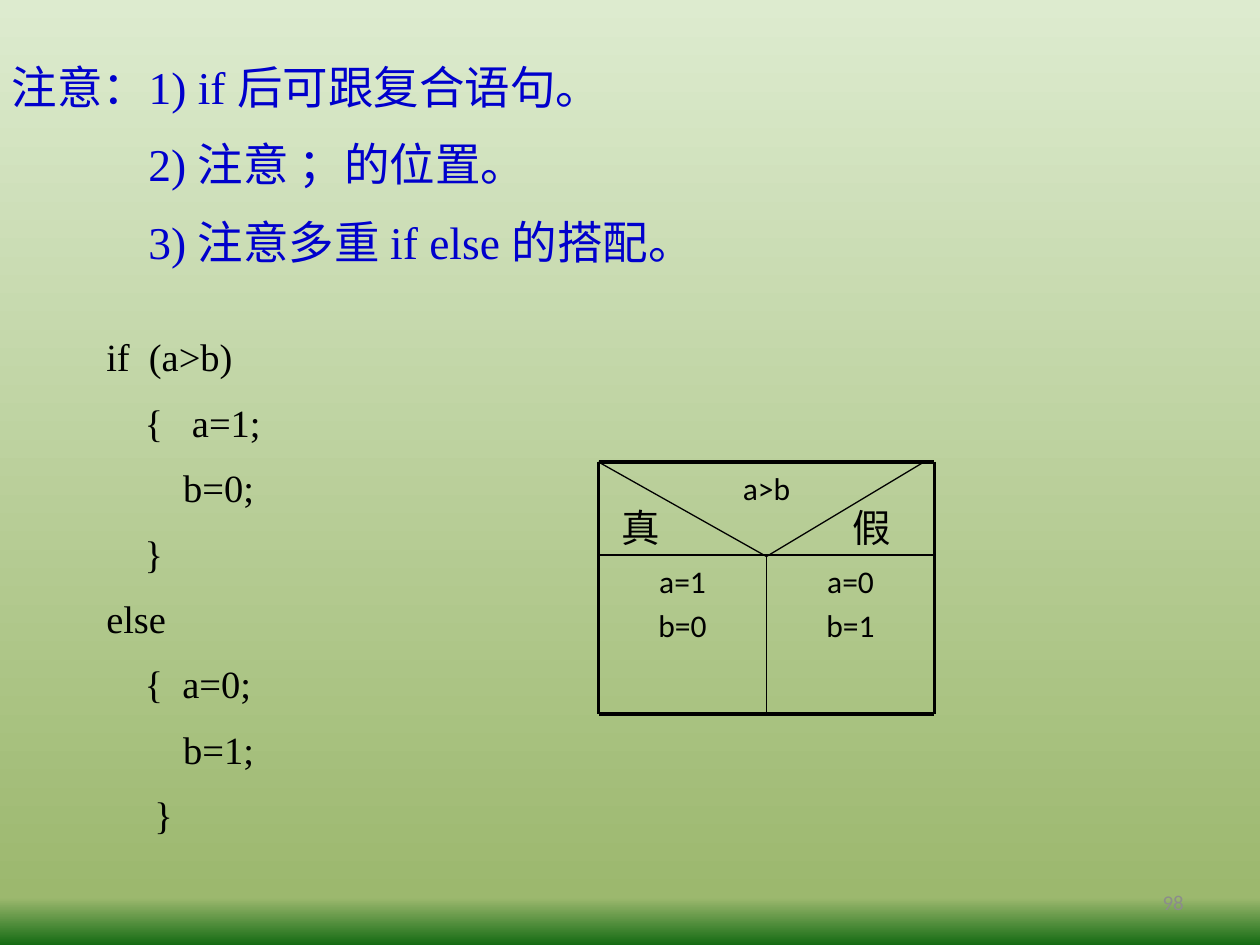
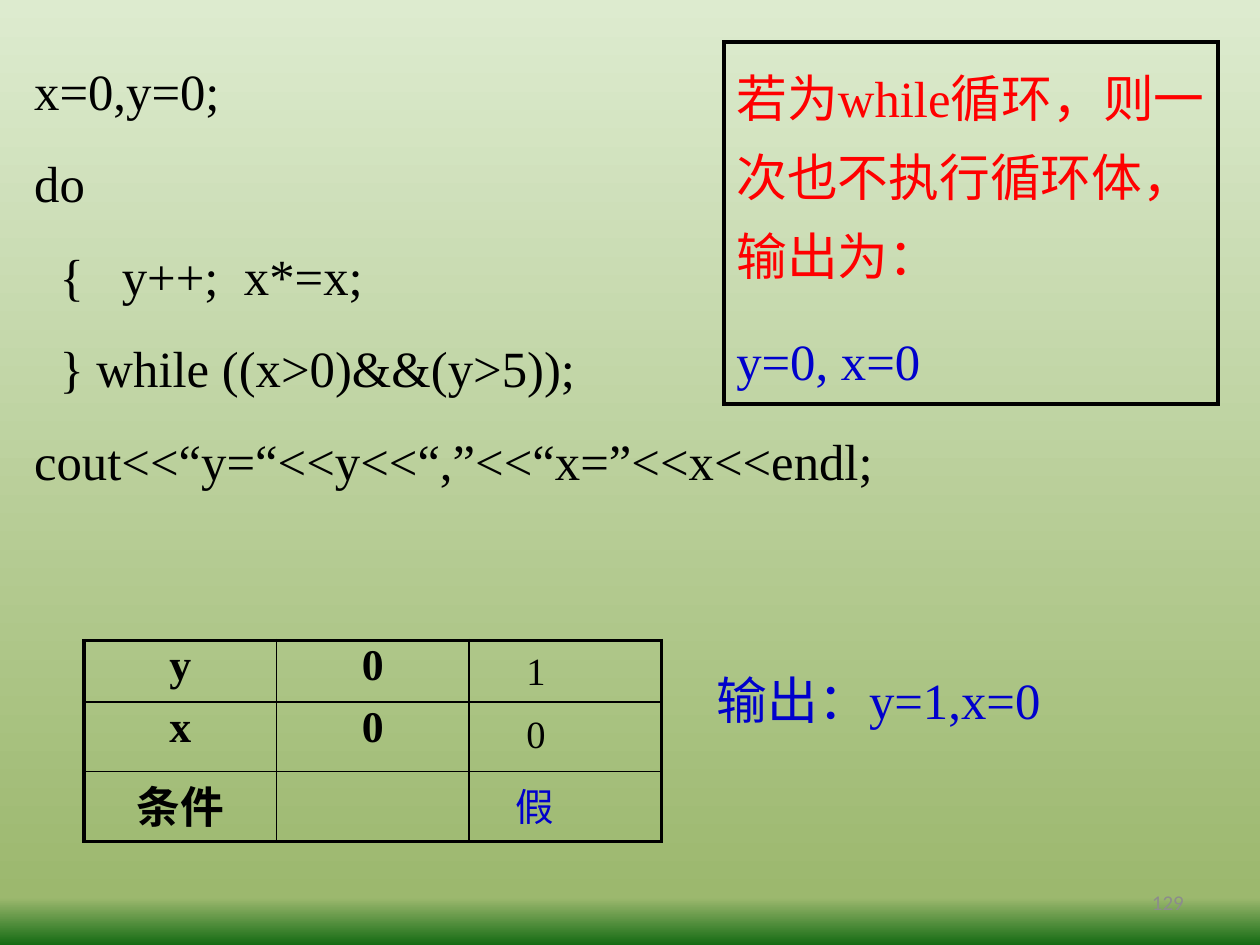
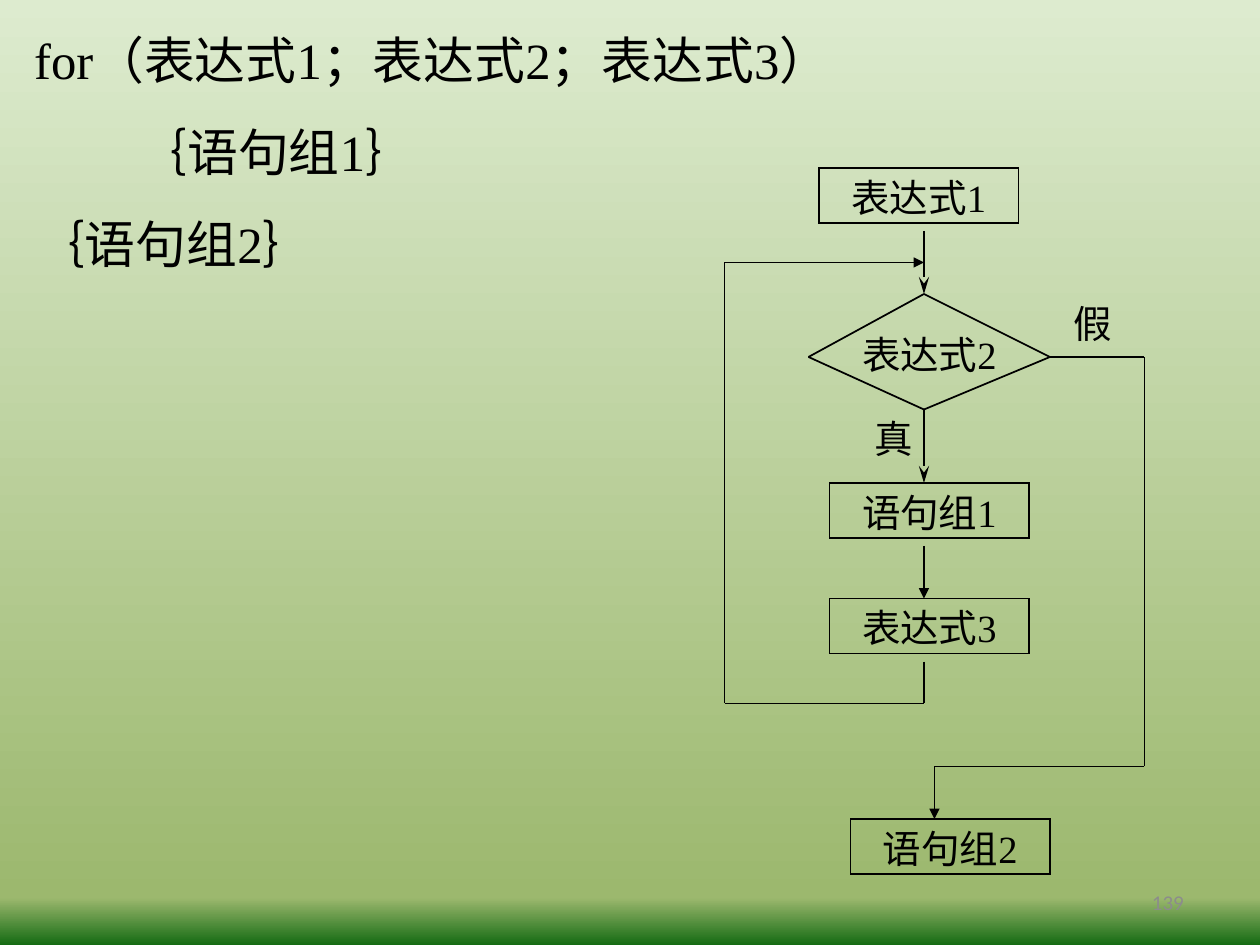
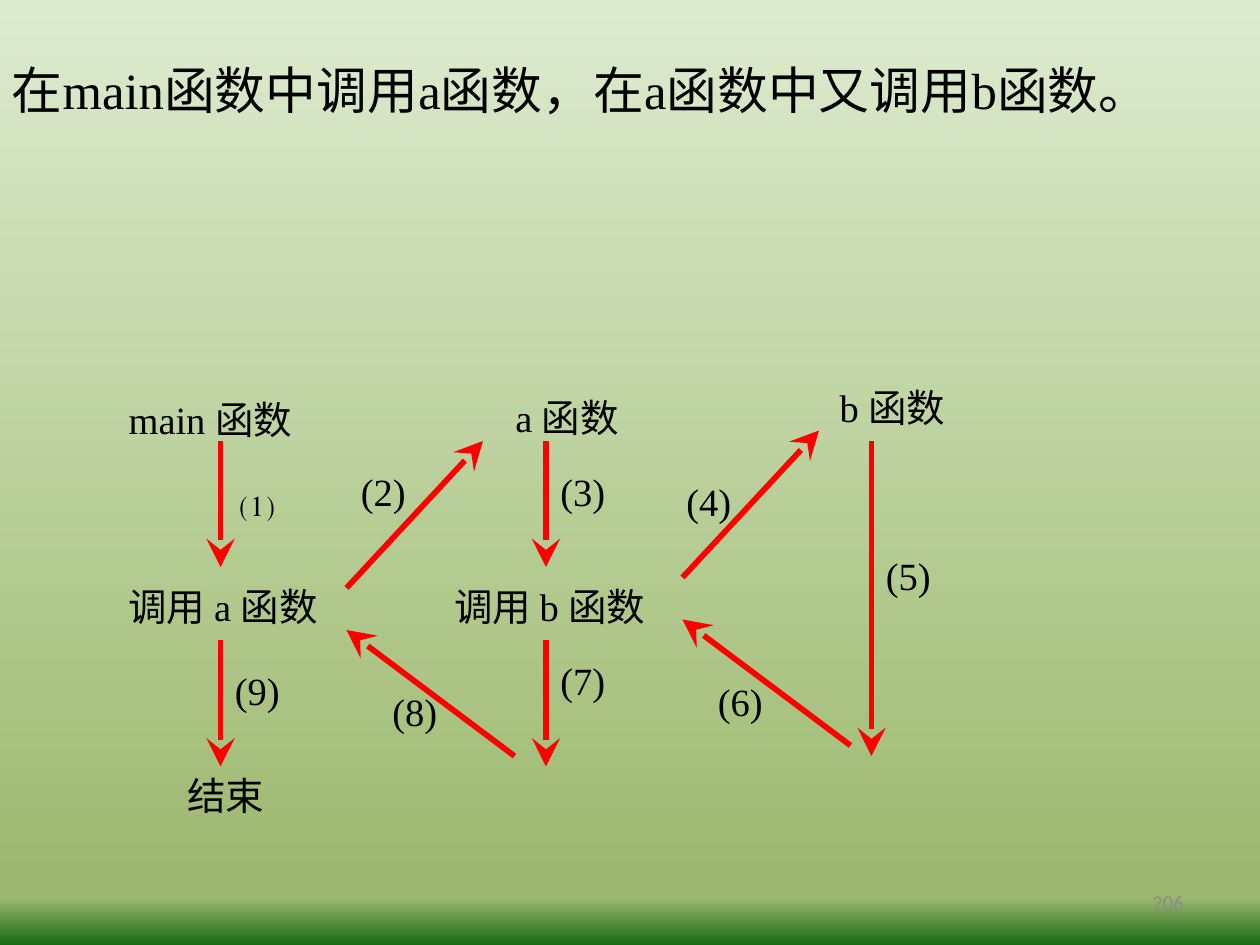
from copy import deepcopy

from lxml.etree import SubElement
from pptx import Presentation
from pptx.dml.color import RGBColor
from pptx.enum.shapes import MSO_CONNECTOR, MSO_SHAPE, PP_PLACEHOLDER
from pptx.enum.text import MSO_ANCHOR, MSO_AUTO_SIZE, PP_ALIGN
from pptx.oxml.ns import qn
from pptx.util import Pt

PX = 9525


class Theme:
    ink = RGBColor.from_string("000000")
    blue = RGBColor.from_string("0000CC")
    red = RGBColor.from_string("FF0000")
    gray = RGBColor.from_string("8C8C8C")
    sky = [(0, "DDEBCF"), (0.95, "9CB86E"), (1, "156B13")]
    serif, sans = "Times New Roman", "Calibri"
    big, list, head, text, small, foot = 29, 26, 25, 22, 18, 12
    thick, thin, hair, bold = 2.25, 1, 0.75, 3.25


LOOSE = {"pad": (9, 5)}
MID = {"align": PP_ALIGN.CENTER}
CODE = {"size": Theme.big, "lead": 1.1}
NOTE = {"lead": 1.1}
PLAIN = {"size": Theme.small, "font": Theme.sans, "gap": 0.2,
         "fit": MSO_AUTO_SIZE.NONE, **LOOSE, **MID}
FOOT = {"size": Theme.foot, "font": Theme.sans, "color": Theme.gray,
        "align": PP_ALIGN.RIGHT, "anchor": MSO_ANCHOR.MIDDLE,
        "fit": MSO_AUTO_SIZE.NONE, "pad": (10, 5)}


def write(item, spot, lines, size=Theme.text, font=Theme.serif, color=Theme.ink,
          align=PP_ALIGN.LEFT, lead=None, gap=0.5, pad=(2, 1), bold=False,
          anchor=MSO_ANCHOR.TOP, fit=MSO_AUTO_SIZE.SHAPE_TO_FIT_TEXT,
          edge=None, dents=()):
    frame = item.text_frame
    host = item
    if spot:
        host = frame
        for name, value in zip(("left", "top", "width", "height"), spot):
            setattr(item, name, value * PX)
        frame.word_wrap, frame.auto_size = True, fit
    if edge:
        item.shadow.inherit = False
        item.fill.background()
        item.line.color.rgb = Theme.ink
        item.line.width = Pt(edge)
        SubElement(item.element.spPr.find(qn("a:ln")), qn("a:miter"), lim="800000")
    form = {"margin_left": pad[0] * PX, "margin_right": pad[0] * PX,
            "margin_top": pad[1] * PX, "margin_bottom": pad[1] * PX,
            "vertical_anchor": anchor}
    for name, value in form.items():
        setattr(host, name, value)
    frame.text = "\n".join(lines)
    for row, par in enumerate(frame.paragraphs):
        props = par._p.get_or_add_pPr()
        props.set("marL", str(dents[row] * PX if dents else 0))
        props.set("indent", "0")
        SubElement(props, qn("a:buNone"))
        form = {"alignment": align, "line_spacing": lead,
                "space_before": Pt(size * gap if row else 0)}
        for name, value in form.items():
            setattr(par, name, value)
        for run in par.runs:
            for name, value in {"name": font, "size": Pt(size), "bold": bold}.items():
                setattr(run.font, name, value)
            run.font.color.rgb = color
    return item


def draw(shapes, start, end, width=Theme.thin, color=Theme.ink, tail=None):
    line = shapes.add_connector(MSO_CONNECTOR.STRAIGHT, *[n * PX for n in start + end])
    line.line.width = Pt(width)
    line.line.color.rgb = color
    props = line.element.spPr
    if tail:
        SubElement(props.find(qn("a:ln")), qn("a:tailEnd"),
                   type=tail[0], w=tail[1], len=tail[2])
    SubElement(props, qn("a:effectLst"))
    return line


deck = Presentation()
deck.slide_width, deck.slide_height = 960 * PX, 720 * PX

fill = deck.slide_master.background.fill
fill.gradient()
fill.gradient_angle = 270
stops = deck.slide_master.element.find(".//" + qn("a:gsLst"))
stops.append(deepcopy(stops[-1]))
for stop, (place, shade) in zip(fill.gradient_stops, Theme.sky):
    stop.position = place
    stop.color.rgb = RGBColor.from_string(shade)

pages = []
for number, plan in (("98", 1), ("129", 1), ("139", 1), ("206", 5)):
    layout = deck.slide_layouts[plan]
    page = deck.slides.add_slide(layout)
    if plan == 1:
        title = page.shapes.title.element
        title.getparent().remove(title)
    for holder in layout.placeholders:
        if holder.placeholder_format.type == PP_PLACEHOLDER.SLIDE_NUMBER:
            page.shapes.element.append(deepcopy(holder.element))
    write(page.shapes[-1], (688, 668, 224, 38), [number], **FOOT)
    pages.append(page)
rules, loop, flow, calls = pages

shapes = rules.shapes
write(rules.placeholders[1], (0, 40, 640, 176),
      ["注意：1) if 后可跟复合语句。", "2) 注意 ；的位置。",
       "3) 注意多重 if else 的搭配。"],
      size=Theme.list, color=Theme.blue, dents=(0, 104, 104), **LOOSE)
write(shapes.add_textbox(0, 0, 0, 0), (72, 249, 224, 414),
      ["if  (a>b)", "    {   a=1;", "        b=0;", "    }",
       "else", "    {  a=0;", "        b=1;", "     }"], **LOOSE)

parts = []
for spot, lines in (((584, 423, 128, 70), ["a=0", "b=1"]),
                    ((456, 423, 128, 105), ["a=1", "b=0"]),
                    ((456, 352, 256, 71), ["a>b"])):
    parts.append(write(shapes.add_textbox(0, 0, 0, 0), spot, lines, **PLAIN))
for start, end, width in (((456, 352), (712, 352), Theme.thick),
                          ((456, 423), (712, 423), Theme.thin),
                          ((456, 544), (712, 544), Theme.thick),
                          ((456, 352), (456, 544), Theme.thick),
                          ((712, 352), (712, 544), Theme.thick),
                          ((584, 423), (584, 544), Theme.thin),
                          ((456, 352), (584, 424), Theme.hair),
                          ((584, 424), (704, 352), Theme.hair)):
    parts.append(draw(shapes, start, end, width))
for left, word in ((464, "真"), (640, "假")):
    parts.append(write(shapes.add_textbox(0, 0, 0, 0), (left, 384, 48, 36),
                       [word], pad=(0, 0), **MID))
shapes.add_group_shape(parts)

shapes = loop.shapes
write(loop.placeholders[1], (24, 40, 856, 353),
      ["x=0,y=0;", "do", "  {   y++;  x*=x;", "  } while ((x>0)&&(y>5));",
       "cout<<“y=“<<y<<“,”<<“x=”<<x<<endl;"], **CODE)

cells = [["y", "0", ""], ["x", "0", ""], ["条件", "", ""]]
grid = shapes.add_table(3, 3, 64 * PX, 488 * PX, 440 * PX, 153 * PX).table
grid.first_row = grid.horz_banding = False
for row, height in enumerate((47, 53, 53)):
    grid.rows[row].height = height * PX
    for col in range(3):
        cell = grid.cell(row, col)
        write(cell, None, [cells[row][col]], size=Theme.head, bold=True, **MID)
        props = cell._tc.get_or_add_tcPr()
        for side, outer in (("L", col == 0), ("R", col == 2),
                            ("T", row == 0), ("B", row == 2)):
            width = Pt(Theme.thick if outer else Theme.thin)
            edge = SubElement(props, qn("a:ln" + side), w=str(width))
            paint = SubElement(edge, qn("a:solidFill"))
            SubElement(paint, qn("a:srgbClr"), val=str(Theme.ink))
        cell.fill.background()

write(shapes.add_textbox(0, 0, 0, 0), (544, 504, 351, 54), ["输出：y=1,x=0"],
      color=Theme.blue, **CODE)
for left, top, word, color in ((392, 488, "1", Theme.ink), (392, 536, "0", Theme.ink),
                               (384, 592, "假", Theme.blue)):
    write(shapes.add_textbox(0, 0, 0, 0), (left, top, 56, 44), [word],
          color=color, **LOOSE)
box = write(shapes.add_shape(MSO_SHAPE.RECTANGLE, 0, 0, 0, 0), (552, 32, 376, 276),
            ["若为while循环，则一次也不执行循环体，输出为：", "y=0, x=0"],
            size=Theme.big, color=Theme.red, lead=1.3, edge=Theme.thick, **LOOSE)
box.text_frame.paragraphs[1].runs[0].font.color.rgb = Theme.blue

shapes = flow.shapes
write(flow.placeholders[1], (24, 16, 751, 204),
      ["for（表达式1；表达式2；表达式3）", "｛语句组1｝", "｛语句组2｝"],
      dents=(0, 78, 0), **CODE)

parts = []
for spot, word, align in (((816, 224, 80, 41), "假", PP_ALIGN.LEFT),
                          ((648, 248, 120, 41), "表达式2", PP_ALIGN.CENTER),
                          ((664, 312, 48, 41), "真", PP_ALIGN.LEFT)):
    parts.append(write(shapes.add_textbox(0, 0, 0, 0), spot, [word],
                       align=align, **NOTE))
for left, top, word in ((624, 128, "表达式1"), (632, 368, "语句组1"),
                        (632, 456, "表达式3"), (648, 624, "语句组2")):
    parts.append(write(shapes.add_shape(MSO_SHAPE.RECTANGLE, 0, 0, 0, 0),
                       (left, top, 152, 42), [word], edge=Theme.thin, **NOTE, **MID))
barb, wedge = ("stealth", "med", "lg"), ("triangle", "med", "med")
routes = [
    ([(704, 224), (616, 272), (704, 312), (800, 272), (704, 224)], None),
    ([(704, 176), (704, 224)], barb),
    ([(704, 312), (704, 368)], barb),
    ([(704, 416), (704, 456)], wedge),
    ([(800, 272), (872, 272), (872, 584), (712, 584), (712, 624)], wedge),
    ([(704, 504), (704, 536), (552, 536), (552, 200), (704, 200)], wedge),
]
for points, tail in routes:
    last = len(points) - 2
    for step, (start, end) in enumerate(zip(points, points[1:])):
        parts.append(draw(shapes, start, end, tail=tail if step == last else None))
shapes.add_group_shape(parts)

shapes = calls.shapes
write(shapes.title, (0, 40, 960, 56),
      ["在main函数中调用a函数，在a函数中又调用b函数。"], size=Theme.big, **LOOSE)
for left, top, width, word, align in (
        (344, 440, 184, "调用 b 函数", PP_ALIGN.LEFT),
        (344, 296, 176, "a 函数", PP_ALIGN.CENTER),
        (592, 288, 176, "b 函数", PP_ALIGN.CENTER),
        (96, 297, 176, "main 函数", PP_ALIGN.LEFT),
        (96, 440, 184, "调用 a 函数", PP_ALIGN.LEFT),
        (72, 584, 200, "结束", PP_ALIGN.CENTER)):
    write(shapes.add_textbox(0, 0, 0, 0), (left, top, width, 41), [word],
          align=align, **NOTE)
for mark, start, end, spot in (
        ("⑴", (168, 336), (168, 432), (176, 360)),
        ("(2)", (264, 448), (368, 336), (272, 352)),
        ("(3)", (416, 336), (416, 432), (424, 352)),
        ("(4)", (520, 440), (624, 328), (520, 360)),
        ("(5)", (664, 336), (664, 576), (672, 416)),
        ("(6)", (648, 568), (520, 472), (544, 512)),
        ("(7)", (416, 488), (416, 584), (424, 496)),
        ("(8)", (392, 576), (264, 480), (296, 520)),
        ("(9)", (168, 488), (168, 584), (176, 504))):
    arrow = draw(shapes, start, end, Theme.bold, Theme.red, ("stealth", "lg", "lg"))
    label = write(shapes.add_textbox(0, 0, 0, 0), spot + (40, 41), [mark],
                  **NOTE, **MID)
    shapes.add_group_shape([arrow, label])

deck.save("out.pptx")
